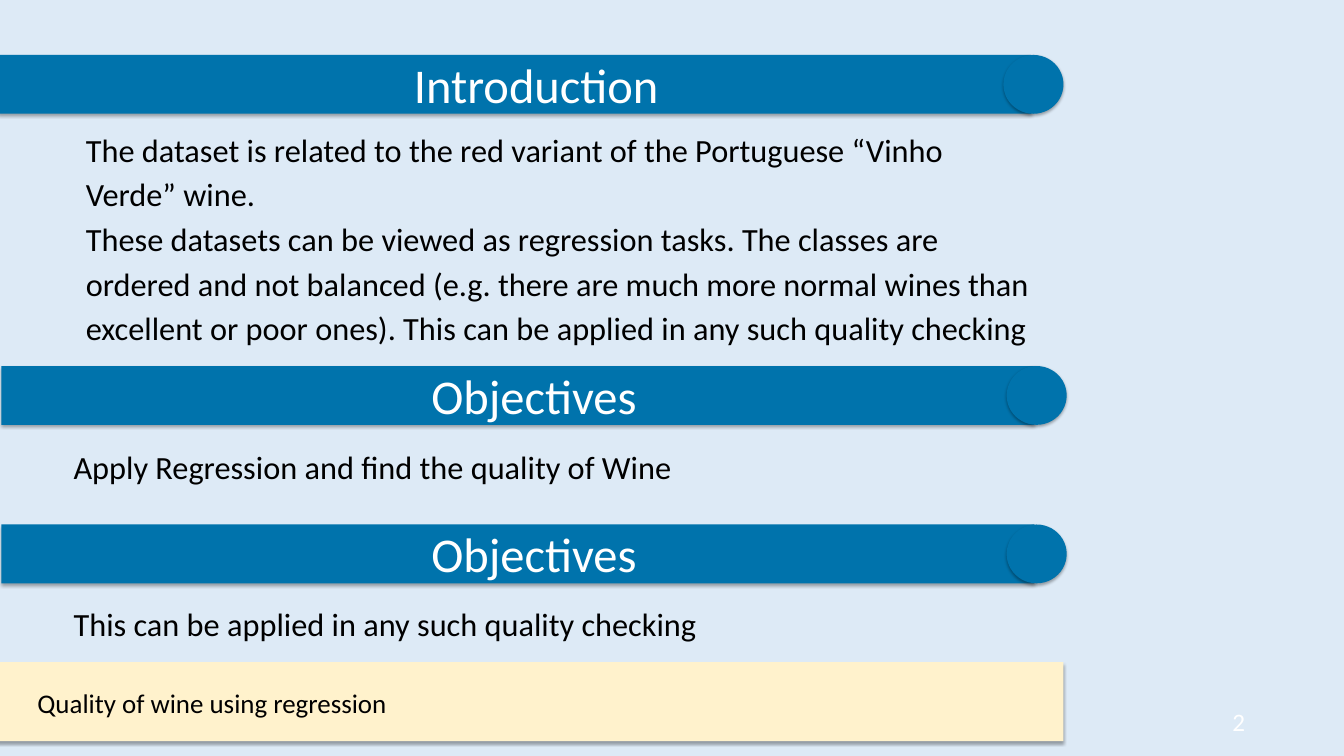
from dataclasses import dataclass

from lxml import etree
from pptx import Presentation
from pptx.dml.color import RGBColor
from pptx.enum.shapes import MSO_SHAPE
from pptx.enum.text import MSO_ANCHOR, PP_ALIGN
from pptx.oxml.ns import qn
from pptx.shapes.autoshape import Shape
from pptx.util import Inches, Pt

RECTANGLE, OVAL = MSO_SHAPE.RECTANGLE, MSO_SHAPE.OVAL
LEFT, CENTER = PP_ALIGN.LEFT, PP_ALIGN.CENTER
TOP = MSO_ANCHOR.TOP

PALE_BLUE = RGBColor(0xDD, 0xEA, 0xF6)
BLUE = RGBColor(0x00, 0x73, 0xAC)
CREAM = RGBColor(0xFF, 0xF2, 0xCC)
BLACK = RGBColor(0x00, 0x00, 0x00)
WHITE = RGBColor(0xFF, 0xFF, 0xFF)

FONT = "Calibri"
WIDTH, HEIGHT = Inches(20.79), Inches(11.69)
COLUMN, ROW = WIDTH / 100, HEIGHT / 100  # grid of 100 columns by 100 rows
INDENT = Inches(0.5)

BAR_WIDTH, BAR_HEIGHT = 76.86, 7.78
CAP_OFFSET, CAP_WIDTH = 74.8, 4.47


@dataclass(frozen=True)
class Box:
    """Place and size in grid columns and rows."""
    x: float
    y: float
    w: float
    h: float

    def emu(self) -> tuple[int, int, int, int]:
        return (round(self.x * COLUMN), round(self.y * ROW),
                round(self.w * COLUMN), round(self.h * ROW))


@dataclass(frozen=True)
class Heading:
    title: str
    x: float
    y: float


@dataclass(frozen=True)
class Note:
    box: Box
    paragraphs: tuple[str, ...]
    size: int = 36
    color: RGBColor = BLACK
    align: PP_ALIGN = LEFT
    line_spacing: float = 1.0
    indent: int = 0
    right_inset: float = 0.1


HEADINGS = (
    Heading(" Introduction", -0.14, 7.27),
    Heading("Objectives", 0.1, 48.42),
    Heading("Objectives", 0.1, 69.38),
)

FOOTER_BAND = Box(-0.14, 87.6, 79.27, 10.44)

NOTES = (
    Note(
        Box(3.51, 16, 77.1, 39.78),
        ("The dataset is related to the red variant of the Portuguese “Vinho Verde” wine.",
         "These datasets can be viewed as regression tasks. The classes are ordered and not "
         "balanced (e.g. there are much more normal wines than excellent or poor ones). "
         "This can be applied in any such quality checking"),
        line_spacing=1.15, indent=INDENT, right_inset=0.75,
    ),
    Note(Box(5, 58.77, 76.86, 6.07), ("Apply Regression and find the quality of Wine",)),
    Note(Box(5, 79.47, 76.86, 6.07), ("This can be applied in any such quality checking",)),
    Note(Box(2.31, 90.42, 59.31, 5.22), ("Quality of wine using regression",), size=30),
    Note(Box(88.16, 93, 8, 4.9), ("2",), size=28, color=WHITE, align=CENTER),
)


def add_soft_shadow(sp: Shape) -> None:
    sp.shadow.inherit = False
    effects = sp._element.spPr.find(qn("a:effectLst"))
    shadow = etree.SubElement(effects, qn("a:outerShdw"), blurRad=str(Pt(3.5)),
                              dist=str(Pt(2.2)), dir="5400000", rotWithShape="0")
    color = etree.SubElement(shadow, qn("a:srgbClr"), val=str(BLACK))
    etree.SubElement(color, qn("a:alpha"), val="32000")


def add_block(shapes, kind: MSO_SHAPE, box: Box, fill: RGBColor) -> Shape:
    """Add a filled shape without outline, with the soft shadow."""
    sp = shapes.add_shape(kind, *box.emu())
    sp.fill.solid()
    sp.fill.fore_color.rgb = fill
    sp.line.fill.background()
    add_soft_shadow(sp)
    return sp


def style_paragraph(p, size: int, color: RGBColor, align: PP_ALIGN, indent: int) -> None:
    p.font.name = FONT
    p.font.size = Pt(size)
    p.font.color.rgb = color
    p.alignment = align
    p._p.get_or_add_pPr().set("marL", str(indent))


def add_heading(slide, heading: Heading) -> None:
    """Group a title bar with its round right end."""
    shapes = slide.shapes.add_group_shape().shapes
    bar = add_block(shapes, RECTANGLE,
                    Box(heading.x, heading.y, BAR_WIDTH, BAR_HEIGHT), BLUE)
    add_block(shapes, OVAL,
              Box(heading.x + CAP_OFFSET, heading.y, CAP_WIDTH, BAR_HEIGHT), BLUE)
    tf = bar.text_frame
    tf.margin_left = tf.margin_right = tf.margin_top = tf.margin_bottom = 0
    tf.vertical_anchor = TOP
    tf.text = heading.title
    style_paragraph(tf.paragraphs[0], 54, WHITE, CENTER, INDENT)


def add_note(slide, note: Note) -> None:
    tf = slide.shapes.add_textbox(*note.box.emu()).text_frame
    tf.word_wrap = True
    tf.margin_right = Inches(note.right_inset)
    tf.text = "\n".join(note.paragraphs)
    for p in tf.paragraphs:
        style_paragraph(p, note.size, note.color, note.align, note.indent)
        p.line_spacing = note.line_spacing


def main() -> None:
    prs = Presentation()
    prs.slide_width, prs.slide_height = WIDTH, HEIGHT
    slide = prs.slides.add_slide(prs.slide_layouts[6])
    slide.background.fill.solid()
    slide.background.fill.fore_color.rgb = PALE_BLUE

    add_block(slide.shapes, RECTANGLE, FOOTER_BAND, CREAM)
    for heading in HEADINGS:
        add_heading(slide, heading)
    for note in NOTES:
        add_note(slide, note)
    prs.save("out.pptx")


if __name__ == "__main__":
    main()
